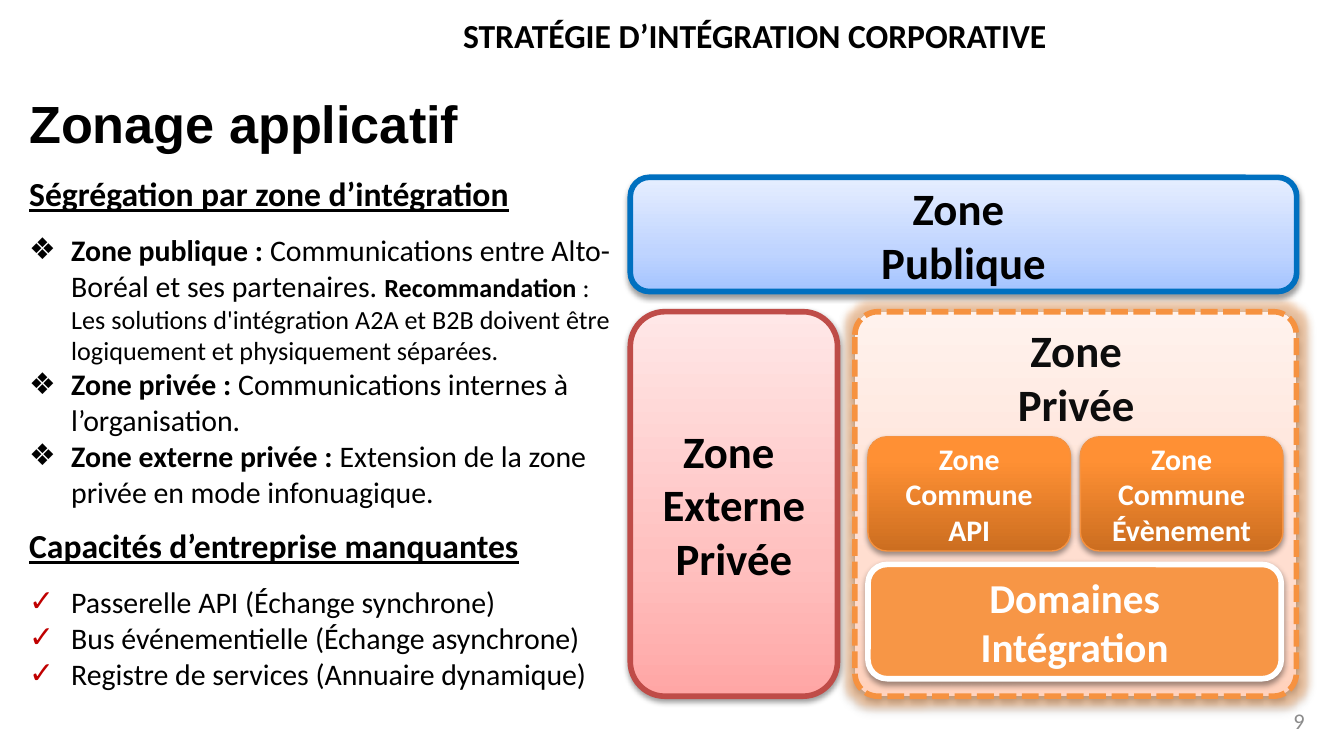
import pptx
import pptx.util
import pptx.dml.color
import pptx.enum.dml
import pptx.enum.shapes
import pptx.enum.text
import pptx.oxml.ns
import pptx.oxml.xmlchemy
from dataclasses import dataclass

Pt = pptx.util.Pt
Align = pptx.enum.text.PP_ALIGN
Anchor = pptx.enum.text.MSO_ANCHOR
qn = pptx.oxml.ns.qn


@dataclass(frozen=True)
class Theme:
    body_font: str = "Calibri"
    title_font: str = "Arial"
    title: int = 28
    zone: int = 24
    domain: int = 22
    heading: int = 18
    body: int = 16
    note: int = 14
    number: int = 12
    black: str = "000000"
    near_black: str = "0D0D0D"
    white: str = "FFFFFF"
    gray: str = "8C8C8C"
    check: str = "C00000"
    blue_line: str = "0070C0"
    red_line: str = "BF4C48"
    orange_line: str = "F69240"
    orange: str = "F79646"
    blue: tuple = ((0, "A4C4FF"), (35, "BFD4FF"), (100, "E6EEFF"))
    red: tuple = ((0, "FFA6A5"), (35, "FFC0BF"), (100, "FFE7E7"))
    peach: tuple = ((0, "FFD2BD"), (35, "FFDED0"), (100, "FFF2ED"))
    dark_orange: tuple = ((0, "CC6E20"), (80, "FF9034"), (100, "FF9136"))


class SlideWriter:
    def __init__(self, page, theme):
        self.page = page
        self.theme = theme

    def color(self, code):
        return pptx.dml.color.RGBColor.from_string(code)

    def xml(self, parent, tag, **attributes):
        child = pptx.oxml.xmlchemy.OxmlElement(tag)
        for name, value in attributes.items():
            child.set(name, str(value))
        parent.append(child)
        return child

    def span(self, para, text, size, color=None, bold=False, underline=False, font=None):
        span = para.add_run()
        span.text = text
        span.font.size = Pt(size)
        span.font.name = font or self.theme.body_font
        span.font.bold = bold
        span.font.underline = underline
        span.font.color.rgb = self.color(color or self.theme.black)

    def lines(self, frame, lines, size, color, align, bold=True, font=None):
        for index, text in enumerate(lines):
            para = frame.add_paragraph() if index else frame.paragraphs[0]
            para.alignment = align
            self.span(para, text, size, color, bold, font=font)

    def text_box(self, left, top, width, height, anchor=Anchor.TOP, wrap=True):
        box = self.page.shapes.add_textbox(Pt(left), Pt(top), Pt(width), Pt(height))
        frame = box.text_frame
        frame.word_wrap = wrap
        frame.vertical_anchor = anchor
        return frame

    def label(self, bounds, lines, size, color, align=Align.LEFT, anchor=Anchor.TOP,
              wrap=True, bold=True, font=None):
        frame = self.text_box(*bounds, anchor, wrap)
        self.lines(frame, lines, size, color, align, bold, font)

    def effect(self, effects, tag, color, alpha, **attributes):
        effect = self.xml(effects, tag, **attributes)
        shade = self.xml(effect, "a:srgbClr", val=color)
        self.xml(shade, "a:alpha", val=alpha * 1000)

    def zone(self, bounds, fill, line, weight=3, lines=(), size=24, color=None,
             corner=None, dashed=False, glow=None):
        box = self.page.shapes.add_shape(
            pptx.enum.shapes.MSO_SHAPE.ROUNDED_RECTANGLE, *map(Pt, bounds))
        if corner:
            box.adjustments[0] = corner
        if isinstance(fill, str):
            box.fill.solid()
            box.fill.fore_color.rgb = self.color(fill)
        else:
            self.gradient(box, fill)
        box.line.color.rgb = self.color(line)
        box.line.width = Pt(weight)
        if dashed:
            box.line.dash_style = pptx.enum.dml.MSO_LINE.SQUARE_DOT
        box.shadow.inherit = False
        effects = box._element.spPr.find(qn("a:effectLst"))
        if glow:
            self.effect(effects, "a:glow", glow, 40, rad=Pt(8))
        self.effect(effects, "a:outerShdw", self.theme.black, 38, blurRad=Pt(3.1),
                    dist=Pt(1.6), dir=5400000, rotWithShape=0)
        self.lines(box.text_frame, lines, size, color, Align.CENTER)

    def gradient(self, box, stops):
        box.fill.gradient()
        box.fill.gradient_angle = 90
        stop_list = box._element.spPr.find(qn("a:gradFill")).find(qn("a:gsLst"))
        for old in list(stop_list):
            stop_list.remove(old)
        for position, code in stops:
            stop = self.xml(stop_list, "a:gs", pos=position * 1000)
            self.xml(stop, "a:srgbClr", val=code)

    def heading(self, para, text, before=0):
        para.space_before = Pt(before)
        para.space_after = Pt(9.75)
        self.span(para, text, self.theme.heading, bold=True, underline=True)

    def bullet(self, para, symbol, spans, color=None):
        properties = para._p.get_or_add_pPr()
        properties.set("marL", str(Pt(22.5)))
        properties.set("indent", str(-Pt(22.5)))
        if color:
            shade = self.xml(properties, "a:buClr")
            self.xml(shade, "a:srgbClr", val=color)
        self.xml(properties, "a:buFont", typeface=self.theme.title_font)
        self.xml(properties, "a:buChar", char=symbol)
        for text, size, bold in spans:
            self.span(para, text, size, bold=bold)


def main():
    theme = Theme()
    deck = pptx.Presentation()
    deck.slide_width, deck.slide_height = Pt(720), Pt(405)
    writer = SlideWriter(deck.slides.add_slide(deck.slide_layouts[6]), theme)

    writer.label((538, 375, 168, 21.6), ["9"], theme.number, theme.gray,
                 Align.RIGHT, Anchor.MIDDLE, bold=False)
    writer.label((241, 4.3, 330, 29), ["STRATÉGIE D’INTÉGRATION CORPORATIVE"],
                 theme.heading, theme.black, wrap=False)
    writer.label((8.6, 38.2, 596, 55.4), ["Zonage applicatif"], theme.title,
                 theme.black, anchor=Anchor.MIDDLE, font=theme.title_font)

    writer.zone((337.7, 95, 357, 61.2), theme.blue, theme.blue_line,
                lines=["Zone ", "Publique"], size=theme.zone, color=theme.black)
    writer.zone((337.7, 167, 111, 206), theme.red, theme.red_line,
                lines=["Zone ", "Externe", "Privée"], size=theme.zone, color=theme.black)
    writer.zone((458, 167, 236.5, 206), theme.peach, theme.orange_line,
                corner=0.06, dashed=True, glow=theme.orange)
    common_zones = (["Zone Commune", "API"], ["Zone Commune Évènement"])
    for column, lines in enumerate(common_zones):
        writer.zone((465 + 113.8 * column, 234, 108.5, 61.2), theme.dark_orange,
                    theme.orange_line, 0.75, lines, theme.body, theme.white)
    writer.zone((465, 302.4, 221.4, 61.2), theme.orange, theme.white,
                lines=["Domaines", "Intégration"], size=theme.domain, color=theme.white)
    writer.label((530, 169.2, 93, 65.5), ["Zone", "Privée"], theme.zone,
                 theme.near_black, Align.CENTER)

    zones = (
        [("Zone publique : ", theme.body, True),
         ("Communications entre Alto-Boréal et ses partenaires. ", theme.body, False),
         ("Recommandation", theme.note, True),
         (" : Les solutions d'intégration A2A et B2B doivent être logiquement et "
          "physiquement séparées.", theme.note, False)],
        [("Zone privée : ", theme.body, True),
         ("Communications internes à l’organisation.", theme.body, False)],
        [("Zone externe privée : ", theme.body, True),
         ("Extension de la zone privée en mode infonuagique.", theme.body, False)],
    )
    capacities = (
        "Passerelle API (Échange synchrone)",
        "Bus événementielle (Échange asynchrone)",
        "Registre de services (Annuaire dynamique)",
    )
    frame = writer.text_box(8.6, 89.3, 329, 311.8)
    writer.heading(frame.paragraphs[0], "Ségrégation par zone d’intégration")
    for spans in zones:
        writer.bullet(frame.add_paragraph(), "❖", spans)
    writer.heading(frame.add_paragraph(), "Capacités d’entreprise manquantes", 8.5)
    for text in capacities:
        writer.bullet(frame.add_paragraph(), "✓", [(text, theme.body, False)], theme.check)

    deck.save("out.pptx")


if __name__ == "__main__":
    main()
